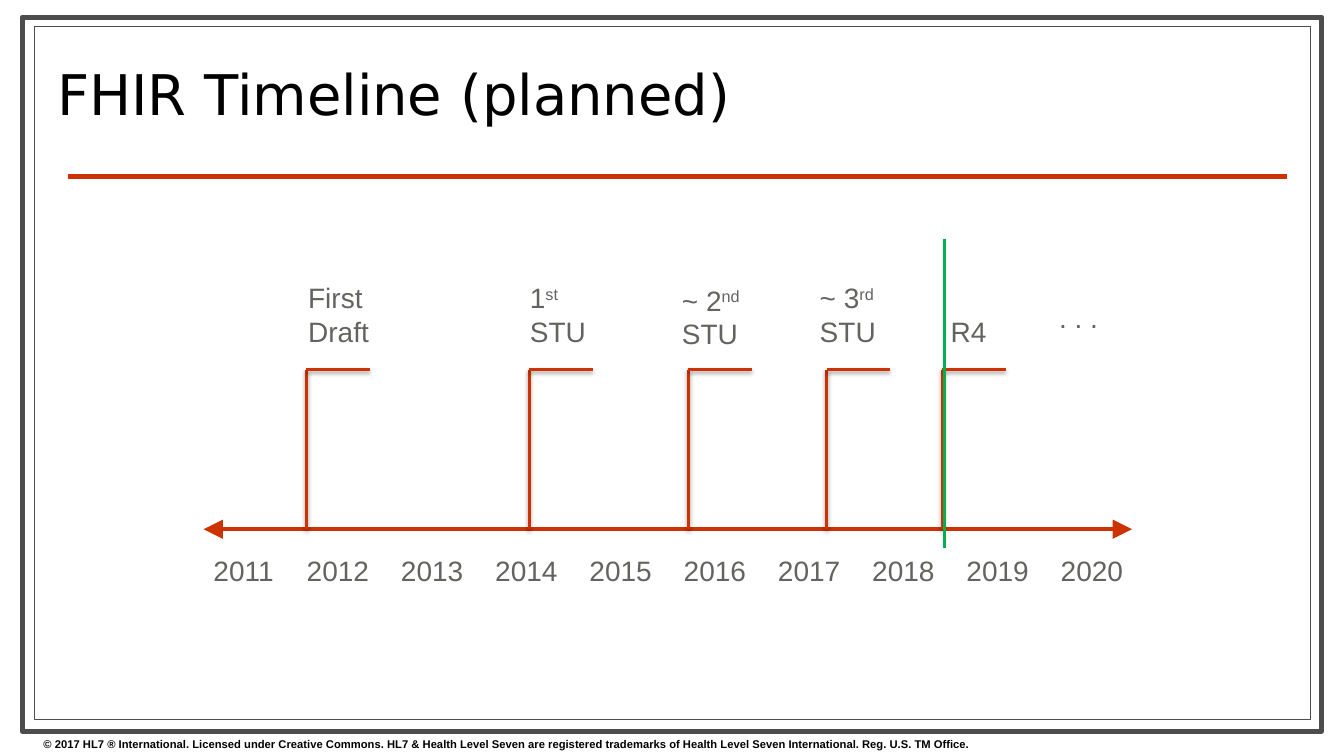
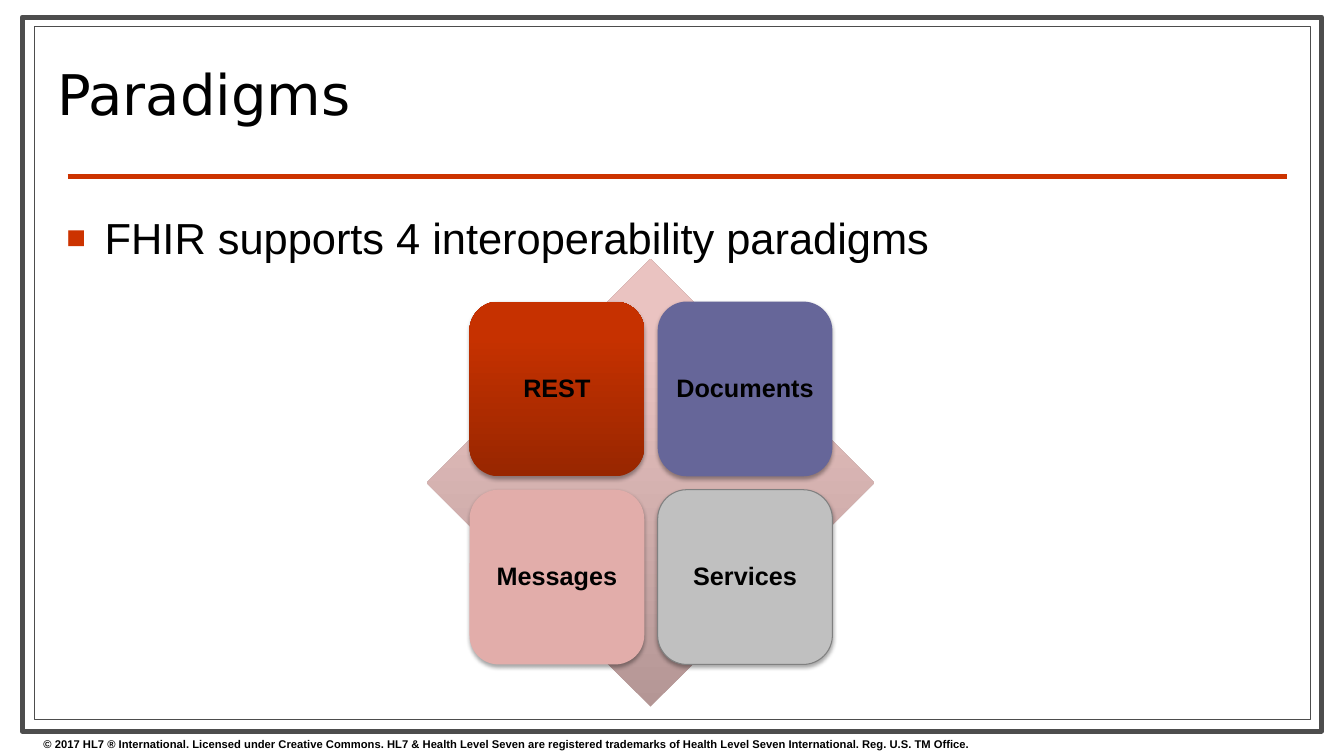
from dataclasses import dataclass
from itertools import product

from lxml.etree import SubElement
from pptx import Presentation
from pptx.dml.color import RGBColor
from pptx.enum.shapes import MSO_CONNECTOR, MSO_SHAPE as Preset
from pptx.enum.text import MSO_ANCHOR as Anchor, PP_ALIGN as Align
from pptx.oxml.ns import qn
from pptx.slide import Slide
from pptx.util import Inches, Pt

# The slide is a grid of 160 columns by 90 rows
WIDTH, HEIGHT = Inches(13.33), Inches(7.5)
COLUMNS, ROWS = 160, 90


@dataclass(frozen=True)
class Theme:
    white: str = "FFFFFF"
    black: str = "000000"
    frame: str = "4D4D4D"
    accent: str = "CC3300"
    label: str = "636360"
    today: str = "00B050"
    title_font: str = "DejaVu Sans"
    body_font: str = "Arial"
    title_size: int = 40
    body_size: int = 31
    label_size: int = 20
    tile_size: int = 18
    footer_size: int = 8


@dataclass(frozen=True)
class Box:
    left: float
    top: float
    width: float
    height: float

    def emu(self) -> tuple[int, int, int, int]:
        return (column(self.left), row(self.top), column(self.width), row(self.height))


@dataclass(frozen=True)
class Shadow:
    opacity: int
    blur: float
    distance: float


@dataclass(frozen=True)
class Milestone:
    label: str  # "^" starts a superscript
    pole: float
    label_left: float
    label_top: float = 32.8


@dataclass(frozen=True)
class Tile:
    label: str
    fill: str | tuple[tuple[int, str], ...]
    outline: str | None = None


THEME = Theme()
POLE_SHADOW = Shadow(38, 3.1, 1.6)
TILE_SHADOW = Shadow(35, 3.1, 1.8)
FOOTER = (
    "© 2017 HL7 ® International. Licensed under Creative Commons. "
    "HL7 & Health Level Seven are registered trademarks of "
    "Health Level Seven International. Reg. U.S. TM Office."
)
MILESTONES = (
    Milestone("First\nDraft", 36.48, 35.5),
    Milestone("1^st\nSTU", 63, 61.9),
    Milestone("~ 2^nd\nSTU", 81.96, 80, 33.1),
    Milestone("~ 3^rd\nSTU", 98.4, 96.4),
    Milestone("R4", 112.2, 112, 36.8),
)
DIAMOND_FILL = ((0, "B49695"), (80, "EAC3C1"), (100, "ECC3C1"))
TILES = (
    Tile("REST", ((0, "982600"), (80, "C63100"), (100, "C73200"))),
    Tile("Documents", "666699"),
    Tile("Messages", "E2ADAA"),
    Tile("Services", "C0C0C0", "808080"),
)


def column(count: float) -> int:
    return round(WIDTH * count / COLUMNS)


def row(count: float) -> int:
    return round(HEIGHT * count / ROWS)


def rgb(color: str) -> RGBColor:
    return RGBColor.from_string(color)


def set_shadow(properties, shadow: Shadow | None) -> None:
    """Replace the theme's shadow by the given one, or by none."""
    effects = properties.find(qn("a:effectLst"))
    if effects is None:
        effects = SubElement(properties, qn("a:effectLst"))
    if shadow:
        outer = SubElement(
            effects, qn("a:outerShdw"), blurRad=str(Pt(shadow.blur)),
            dist=str(Pt(shadow.distance)), dir="5400000", rotWithShape="0",
        )
        color = SubElement(outer, qn("a:srgbClr"), val=THEME.black)
        SubElement(color, qn("a:alpha"), val=str(shadow.opacity * 1000))


def set_fill(shape, fill: str | tuple[tuple[int, str], ...]) -> None:
    if isinstance(fill, str):
        shape.fill.solid()
        shape.fill.fore_color.rgb = rgb(fill)
        return
    shape.fill.gradient()
    shape.fill.gradient_angle = 90
    stops = shape._element.spPr.find(qn("a:gradFill")).find(qn("a:gsLst"))
    for stop in list(stops):
        stops.remove(stop)
    for position, color in fill:
        stop = SubElement(stops, qn("a:gs"), pos=str(position * 1000))
        SubElement(stop, qn("a:srgbClr"), val=color)


def add_bullet(paragraph, indent: float) -> None:
    properties = paragraph._p.get_or_add_pPr()
    properties.set("marL", str(Inches(indent)))
    properties.set("indent", str(-Inches(indent)))
    color = SubElement(properties, qn("a:buClr"))
    SubElement(color, qn("a:srgbClr"), val=THEME.accent)
    SubElement(properties, qn("a:buSzPct"), val="75000")
    SubElement(properties, qn("a:buFont"), typeface=THEME.body_font)
    SubElement(properties, qn("a:buChar"), char="■")


def write_text(
    shape, text: str, *, size: int, color: str = THEME.black,
    font: str = THEME.body_font, bold: bool = False,
    align: Align = Align.LEFT, anchor: Anchor = Anchor.TOP,
    line_spacing: float | None = None, bullet_indent: float = 0,
    inset: float | None = None,
) -> None:
    frame = shape.text_frame
    frame.word_wrap = True
    frame.vertical_anchor = anchor
    if inset is not None:
        frame.margin_left = frame.margin_right = Inches(inset)
        frame.margin_top = frame.margin_bottom = Inches(inset)
    for index, line in enumerate(text.split("\n")):
        paragraph = frame.add_paragraph() if index else frame.paragraphs[0]
        paragraph.alignment = align
        if line_spacing:
            paragraph.line_spacing = line_spacing
        if bullet_indent:
            add_bullet(paragraph, bullet_indent)
        for part, words in enumerate(line.split("^")):
            run = paragraph.add_run()
            run.text = words
            run.font.name, run.font.size, run.font.bold = font, Pt(size), bold
            run.font.color.rgb = rgb(color)
            if part:
                run.font._element.set("baseline", "30000")


def add_text(slide: Slide, box: Box, text: str, **text_format) -> None:
    write_text(slide.shapes.add_textbox(*box.emu()), text, **text_format)


def add_panel(
    slide: Slide, preset: Preset, box: Box, fill, *,
    outline: str | None = None, weight: float = 0.75, shadow: Shadow | None = None,
):
    shape = slide.shapes.add_shape(preset, *box.emu())
    set_fill(shape, fill)
    if outline:
        shape.line.color.rgb = rgb(outline)
        shape.line.width = Pt(weight)
    else:
        shape.line.fill.background()
    shape.shadow.inherit = False
    set_shadow(shape._element.spPr, shadow)
    return shape


def add_line(
    slide: Slide, start: tuple[float, float], end: tuple[float, float], *,
    color: str = THEME.accent, weight: float = 2,
    shadow: Shadow | None = None, arrows: bool = False,
) -> None:
    line = slide.shapes.add_connector(
        MSO_CONNECTOR.STRAIGHT,
        column(start[0]), row(start[1]), column(end[0]), row(end[1]),
    )
    line.line.color.rgb = rgb(color)
    line.line.width = Pt(weight)
    if arrows:
        for tip in ("a:headEnd", "a:tailEnd"):
            SubElement(line.line._get_or_add_ln(), qn(tip), type="triangle", w="lg", len="lg")
    set_shadow(line._element.spPr, shadow)


def add_base(presentation, title: str) -> Slide:
    """Add a slide with the double frame, rule, footer and title."""
    slide = presentation.slides.add_slide(presentation.slide_layouts[6])
    for box, weight in ((Box(2.64, 2.04, 154.7, 85), 3.5), (Box(4.1, 3.12, 151.9, 82.6), 0.75)):
        add_panel(slide, Preset.RECTANGLE, box, THEME.white, outline=THEME.frame, weight=weight)
    add_line(slide, (8.04, 21), (153.24, 21), weight=3)
    add_text(slide, Box(4, 87.24, 155, 2.76), FOOTER, size=THEME.footer_size, bold=True)
    add_text(
        slide, Box(5.64, 4.3, 114.6, 15.1), title, size=THEME.title_size,
        font=THEME.title_font, anchor=Anchor.MIDDLE, line_spacing=0.8,
    )
    return slide


def add_timeline(presentation) -> None:
    slide = add_base(presentation, "FHIR Timeline (planned)")
    label_format = {"size": THEME.label_size, "color": THEME.label}
    axis, flag_top, flag_length = 63, 44, 7.56

    # Axis and years
    add_line(slide, (24.24, axis), (134.76, axis), weight=2.75, arrows=True)
    first_left, pitch = 23.4, 11.22
    for index in range(10):
        box = Box(first_left + index * pitch, 65.28, pitch, 5.3)
        add_text(slide, box, str(2011 + index), align=Align.CENTER, **label_format)

    # Milestone flags
    for milestone in MILESTONES:
        corner = (milestone.pole, flag_top)
        for end in ((milestone.pole, axis), (milestone.pole + flag_length, flag_top)):
            add_line(slide, corner, end, shadow=POLE_SHADOW)
        box = Box(milestone.label_left, milestone.label_top, 10.8, 9.2)
        add_text(slide, box, milestone.label, **label_format)
    add_text(slide, Box(124.9, 35.16, 8, 5.3), ". . .", **label_format)

    # Current date
    add_line(slide, (112.44, 28.44), (112.44, 65.28), color=THEME.today)


def add_paradigms(presentation) -> None:
    slide = add_base(presentation, "Paradigms")
    add_text(
        slide, Box(6.72, 24.6, 146.6, 7), "FHIR supports 4 interoperability paradigms",
        size=THEME.body_size, bullet_indent=0.38,
    )

    # Diamond with a two by two grid of tiles
    add_panel(slide, Preset.DIAMOND, Box(50.8, 30.84, 53.28, 53.28), DIAMOND_FILL)
    left, top, side, gap = 55.9, 35.9, 20.8, 1.6
    for tile, (down, across) in zip(TILES, product(range(2), repeat=2)):
        box = Box(left + across * (side + gap), top + down * (side + gap), side, side)
        shape = add_panel(
            slide, Preset.ROUNDED_RECTANGLE, box, tile.fill,
            outline=tile.outline, shadow=TILE_SHADOW,
        )
        write_text(
            shape, tile.label, size=THEME.tile_size, bold=True, align=Align.CENTER,
            anchor=Anchor.MIDDLE, line_spacing=0.9, inset=0.07,
        )


def main() -> None:
    presentation = Presentation()
    presentation.slide_width, presentation.slide_height = WIDTH, HEIGHT
    add_timeline(presentation)
    add_paradigms(presentation)
    presentation.save("out.pptx")


if __name__ == "__main__":
    main()
